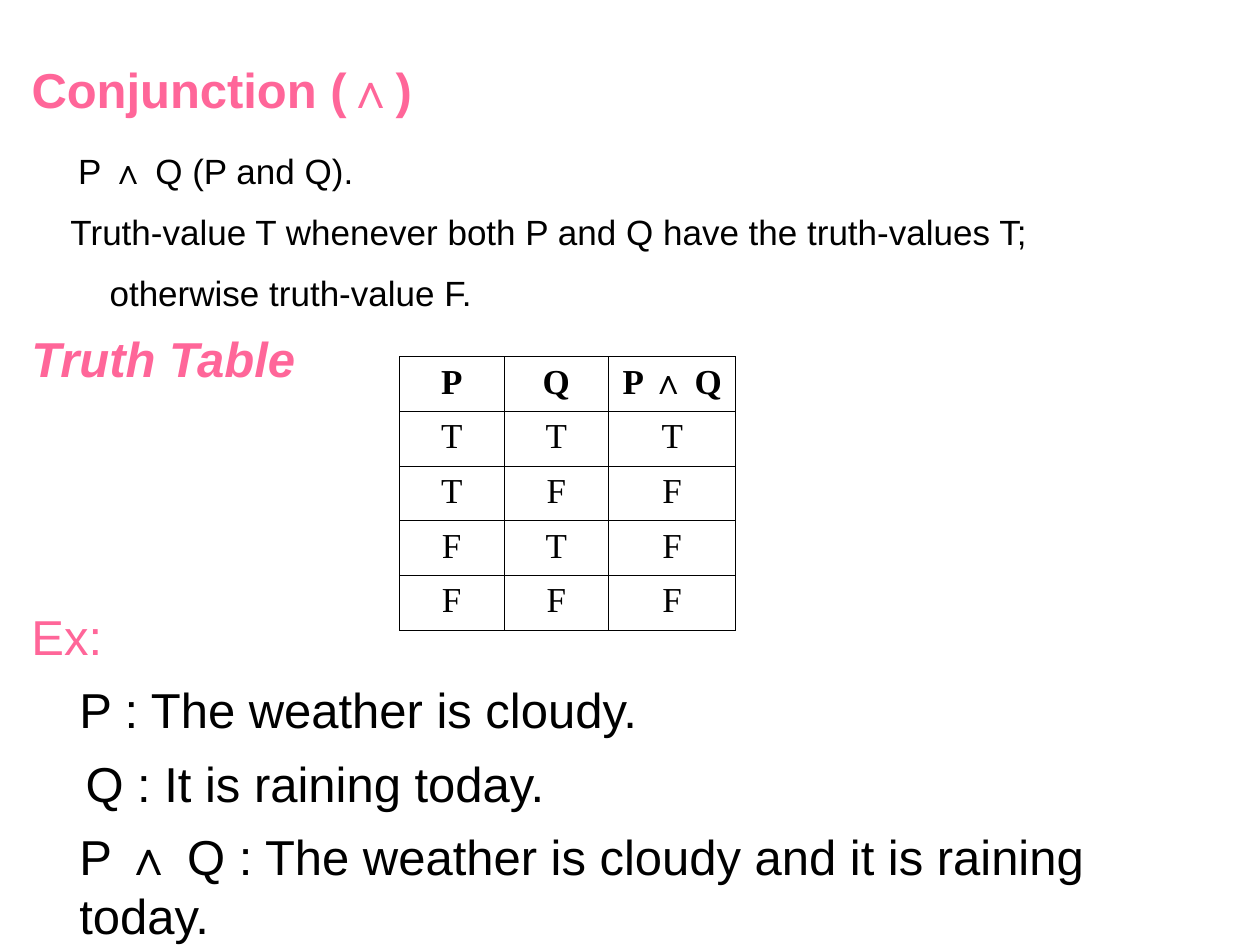
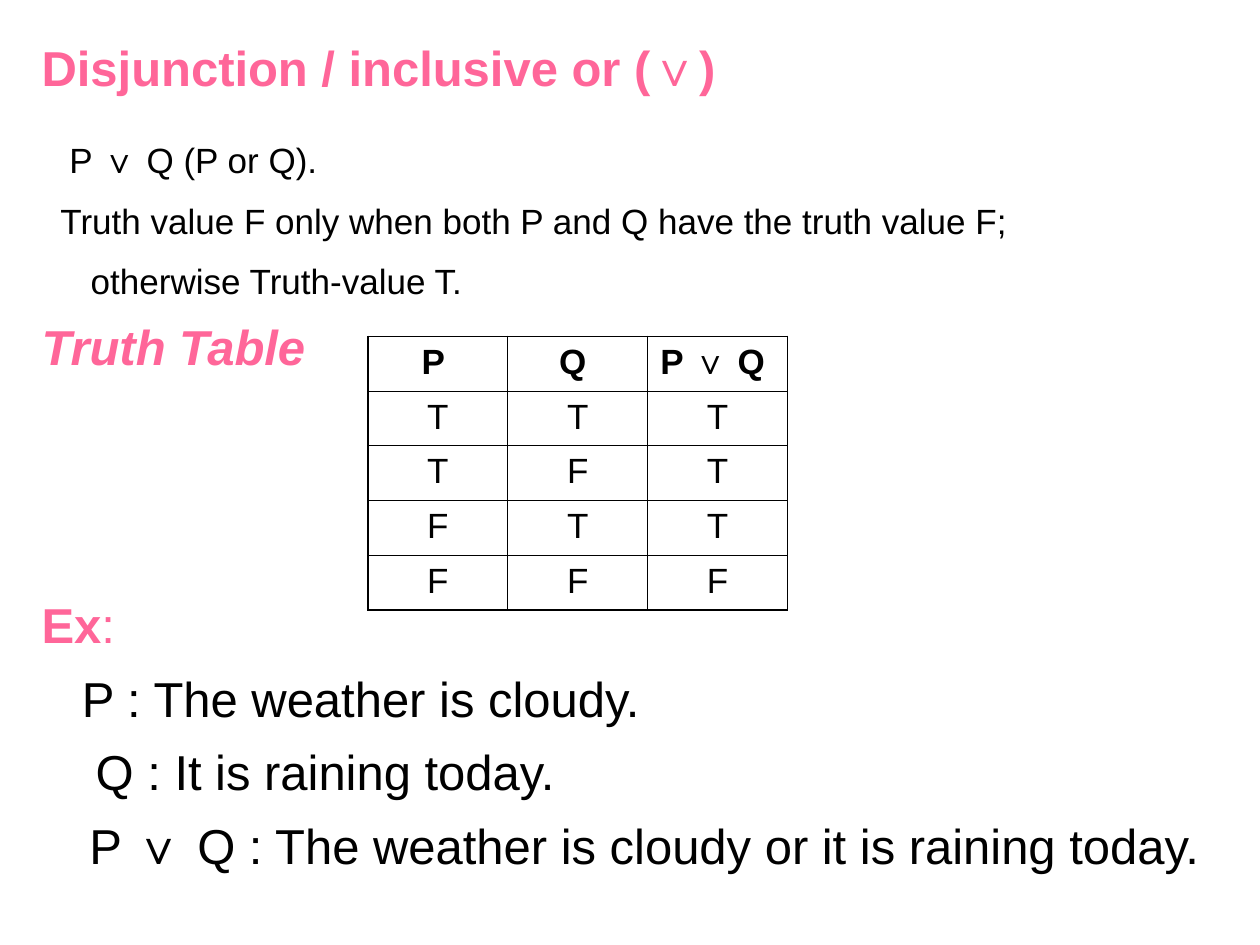
from dataclasses import dataclass

from lxml import etree
from pptx import Presentation
from pptx import util as u
from pptx.dml.color import RGBColor
from pptx.enum import text as t
from pptx.oxml import ns


@dataclass(frozen=True)
class Theme:
    """Colours, fonts and type sizes shared by the slides."""
    accent: RGBColor = RGBColor(0xFF, 0x66, 0x99)
    ink: RGBColor = RGBColor(0, 0, 0)
    font: str = "Arial"
    large: int = 28
    small: int = 20
    thin: float = 0.45
    thick: float = 1.08


THEME = Theme()


@dataclass(frozen=True)
class Line:
    """One paragraph; tail is a closing piece in regular weight."""
    text: str
    indent: float = 0
    size: int = THEME.large
    color: RGBColor = THEME.ink
    bold: bool = False
    italic: bool = False
    tail: str = ""


@dataclass(frozen=True)
class TruthTable:
    left: float
    top: float
    column_widths: tuple[float, ...]
    rows: tuple[tuple[str, ...], ...]
    font: str
    outline: float
    height: float = 2.17


@dataclass(frozen=True)
class Connective:
    """A slide about one logical connective."""
    symbol: str
    title: str
    left: float
    title_top: float
    meaning_top: float
    example_top: float
    meaning: tuple[Line, ...]
    example: tuple[Line, ...]
    table: TruthTable


TRUTH_TABLE_HEADING = Line("Truth Table", color=THEME.accent, bold=True, italic=True)
TEXT_RIGHT = 9.72

CONNECTIVES = (
    Connective(
        symbol="∧", title="Conjunction (∧)",
        left=0.25, title_top=0.47, meaning_top=1.12, example_top=4.81,
        meaning=(
            Line("P ∧ Q (P and Q).", 0.37, THEME.small),
            Line("Truth-value T whenever both P and Q have the truth-values T;",
                 0.31, THEME.small),
            Line("otherwise truth-value F.", 0.62, THEME.small),
            TRUTH_TABLE_HEADING,
        ),
        example=(
            Line("Ex:", color=THEME.accent),
            Line("P : The weather is cloudy.", 0.38),
            Line("Q : It is raining today.", 0.43),
            Line("P ∧ Q : The weather is cloudy and it is raining today.", 0.38),
        ),
        table=TruthTable(
            3.17, 2.83, (0.83, 0.83, 1.01),
            (("P", "Q", "P ∧ Q"), tuple("TTT"), tuple("TFF"), tuple("FTF"), tuple("FFF")),
            "Times New Roman", THEME.thin),
    ),
    Connective(
        symbol="∨", title="Disjunction / inclusive or (∨)",
        left=0.33, title_top=0.3, meaning_top=1.03, example_top=4.72,
        meaning=(
            Line("P ∨ Q (P or Q).", 0.22, THEME.small),
            Line("Truth value F only when both P and Q have the truth value F;",
                 0.15, THEME.small),
            Line("otherwise Truth-value T.", 0.39, THEME.small),
            TRUTH_TABLE_HEADING,
        ),
        example=(
            Line("Ex", color=THEME.accent, bold=True, tail=":"),
            Line("P : The weather is cloudy.", 0.32),
            Line("Q : It is raining today.", 0.43),
            Line("P ∨ Q : The weather is cloudy or it is raining today.", 0.38),
        ),
        table=TruthTable(
            2.92, 2.67, (1.11, 1.11, 1.11),
            (("P ", "Q ", "P ∨ Q "), tuple("TTT"), tuple("TFT"), tuple("FTT"), tuple("FFF")),
            THEME.font, THEME.thick),
    ),
)


def format_run(run, size: int, color: RGBColor, bold: bool = False,
               italic: bool = False, font: str = THEME.font) -> None:
    run.font.name = font
    run.font.size = u.Pt(size)
    run.font.color.rgb = color
    run.font.bold = bold
    run.font.italic = italic


def fill_frame(frame, lines: tuple[Line, ...]) -> None:
    """Write the lines into a text frame without margins."""
    frame.word_wrap = True
    frame.auto_size = t.MSO_AUTO_SIZE.NONE
    frame.vertical_anchor = t.MSO_ANCHOR.TOP
    frame.margin_left = frame.margin_right = frame.margin_top = frame.margin_bottom = 0
    for index, line in enumerate(lines):
        paragraph = frame.add_paragraph() if index else frame.paragraphs[0]
        paragraph.text = line.text
        paragraph.alignment = t.PP_ALIGN.LEFT
        paragraph.line_spacing = 1.2 if line.size == THEME.small else 1.0
        paragraph.space_before = u.Pt(0.3 * line.size if index else 0)
        properties = paragraph._p.get_or_add_pPr()
        properties.set("marL", str(u.Inches(line.indent)))
        properties.set("indent", "0")
        format_run(paragraph.runs[0], line.size, line.color, line.bold, line.italic)
        if line.tail:
            run = paragraph.add_run()
            run.text = line.tail
            format_run(run, line.size, line.color)


def place(shape, left: float, top: float, width: float, height: float) -> None:
    shape.left, shape.top = u.Inches(left), u.Inches(top)
    shape.width, shape.height = u.Inches(width), u.Inches(height)


def add_text(slide, left: float, top: float, height: float, lines: tuple[Line, ...]) -> None:
    box = slide.shapes.add_textbox(0, 0, 0, 0)
    place(box, left, top, TEXT_RIGHT - left, height)
    fill_frame(box.text_frame, lines)


def set_border(cell, side: str, width: float) -> None:
    border = etree.SubElement(cell._tc.get_or_add_tcPr(), ns.qn(f"a:ln{side}"),
                              w=str(u.Pt(width)))
    fill = etree.SubElement(border, ns.qn("a:solidFill"))
    etree.SubElement(fill, ns.qn("a:srgbClr"), val=str(THEME.ink))


def add_truth_table(slide, data: TruthTable, symbol: str) -> None:
    row_count, column_count = len(data.rows), len(data.column_widths)
    frame = slide.shapes.add_table(
        row_count, column_count, u.Inches(data.left), u.Inches(data.top),
        u.Inches(sum(data.column_widths)), u.Inches(data.height))
    table = frame.table
    table.first_row = table.horz_banding = False
    for column, width in zip(table.columns, data.column_widths):
        column.width = u.Inches(width)

    for row_index, values in enumerate(data.rows):
        table.rows[row_index].height = u.Inches(data.height / row_count)
        for column_index, value in enumerate(values):
            cell = table.cell(row_index, column_index)
            # Outer sides take the outline width, inner sides the thin one
            outer_sides = {"L": column_index == 0, "R": column_index == column_count - 1,
                           "T": row_index == 0, "B": row_index == row_count - 1}
            for side, is_outer in outer_sides.items():
                set_border(cell, side, data.outline if is_outer else THEME.thin)
            cell.fill.background()

            # The connective symbol keeps the theme font
            paragraph = cell.text_frame.paragraphs[0]
            paragraph.alignment = t.PP_ALIGN.CENTER
            for piece in filter(None, value.partition(symbol)):
                run = paragraph.add_run()
                run.text = piece
                format_run(run, THEME.small, THEME.ink, bold=row_index == 0,
                           font=THEME.font if piece == symbol else data.font)


def add_connective_slide(presentation, content: Connective) -> None:
    slide = presentation.slides.add_slide(presentation.slide_layouts[5])
    # Title
    title = slide.shapes.title
    place(title, content.left, content.title_top, TEXT_RIGHT - content.left, 0.55)
    fill_frame(title.text_frame, (Line(content.title, color=THEME.accent, bold=True),))
    # Meaning, example and truth table
    add_text(slide, content.left, content.meaning_top, 1.9, content.meaning)
    add_text(slide, content.left, content.example_top, 2.6, content.example)
    add_truth_table(slide, content.table, content.symbol)


def main() -> None:
    presentation = Presentation()
    presentation.slide_width, presentation.slide_height = u.Inches(10), u.Inches(7.5)
    for content in CONNECTIVES:
        add_connective_slide(presentation, content)
    presentation.save("out.pptx")


if __name__ == "__main__":
    main()
